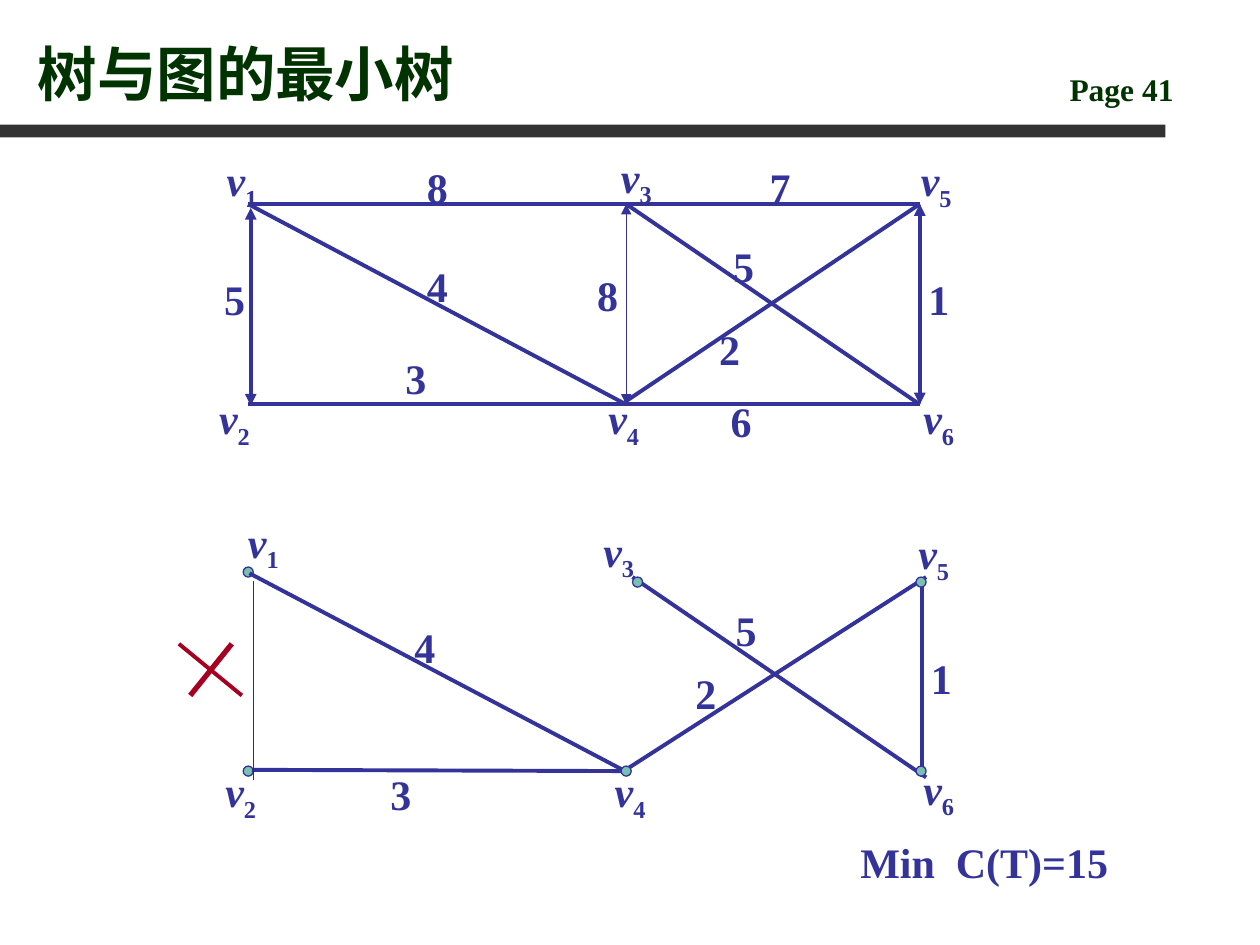
from lxml import etree
from pptx import Presentation
from pptx.dml.color import RGBColor
from pptx.enum.shapes import MSO_CONNECTOR, MSO_SHAPE
from pptx.enum.text import MSO_ANCHOR, MSO_AUTO_SIZE, PP_ALIGN
from pptx.oxml.ns import qn
from pptx.util import Inches, Pt

STRAIGHT = MSO_CONNECTOR.STRAIGHT
RECTANGLE, OVAL = MSO_SHAPE.RECTANGLE, MSO_SHAPE.OVAL
BOTTOM, LEFT = MSO_ANCHOR.BOTTOM, PP_ALIGN.LEFT
FIXED = MSO_AUTO_SIZE.NONE

COLORS = {
    "bar": "333333",
    "heading": "003300",
    "graph": "333399",
    "node": "78C0B2",
    "removed": "A50021",
}


class GraphPage:
    font_name = "Times New Roman"

    def __init__(self, deck):
        self.page = deck.slides.add_slide(deck.slide_layouts[5])

    def color(self, name):
        return RGBColor.from_string(COLORS[name])

    def span(self, para, text, size=24, color="graph", italic=False, baseline=0):
        span = para.add_run()
        span.text = text
        font = span.font
        font.name, font.size = self.font_name, Pt(size)
        font.bold, font.italic = True, italic
        font.color.rgb = self.color(color)
        if baseline:
            font._element.set("baseline", str(baseline * 1000))

    def title(self, text, left, top, width, height):
        box = self.page.shapes.title
        box.left, box.top = Inches(left), Inches(top)
        box.width, box.height = Inches(width), Inches(height)
        frame = box.text_frame
        frame.auto_size = FIXED
        frame.vertical_anchor = BOTTOM
        para = frame.paragraphs[0]
        para.alignment = LEFT
        self.span(para, text, 34, "heading")

    def text_box(self, left, top, width, height):
        box = self.page.shapes.add_textbox(
            Inches(left), Inches(top), Inches(width), Inches(height))
        frame = box.text_frame
        frame.word_wrap = True
        frame.auto_size = FIXED
        frame.margin_right = 0
        return frame.paragraphs[0]

    def caption(self, text, left, top, width, height, size=24, color="graph"):
        self.span(self.text_box(left, top, width, height), text, size, color)

    def weight(self, text, left, top):
        self.span(self.text_box(left, top, 0.36, 0.5), text)

    def vertex(self, number, left, top):
        para = self.text_box(left, top, 0.44, 0.56)
        self.span(para, "v", italic=True)
        self.span(para, str(number), baseline=-25)

    def shape(self, kind, left, top, width, height, fill, line=None):
        shape = self.page.shapes.add_shape(
            kind, Inches(left), Inches(top), Inches(width), Inches(height))
        shape.shadow.inherit = False
        shape.fill.solid()
        shape.fill.fore_color.rgb = self.color(fill)
        if line:
            shape.line.color.rgb = self.color(line)
            shape.line.width = Pt(0.75)
        else:
            shape.line.fill.background()

    def node(self, left, top):
        self.shape(OVAL, left, top, 0.08, 0.08, "node", "graph")

    def edge(self, start, end, width=2.25, color="graph", arrows=False):
        edge = self.page.shapes.add_connector(
            STRAIGHT, *(Inches(value) for value in (*start, *end)))
        edge.line.color.rgb = self.color(color)
        edge.line.width = Pt(width)
        properties = edge._element.spPr
        if arrows:
            outline = properties.find(qn("a:ln"))
            for tag in ("a:headEnd", "a:tailEnd"):
                etree.SubElement(outline, qn(tag), type="triangle")
        etree.SubElement(properties, qn("a:effectLst"))


def draw_full_graph(page):
    v1, v2 = (1.97, 1.62), (1.97, 3.21)
    v3, v4 = (4.97, 1.62), (4.97, 3.21)
    v5, v6 = (7.3, 1.62), (7.3, 3.21)
    for start, end in [(v1, v3), (v2, v4), (v1, v4), (v3, v5),
                       (v5, (4.96, 3.19)), (v3, v6), (v4, v6)]:
        page.edge(start, end)
    for start, end, width in [((1.99, 1.65), (1.99, 3.22), 2.25),
                              (v3, v4, 0.75), (v5, v6, 2.25)]:
        page.edge(start, end, width, arrows=True)
    vertices = [(1.7, 1.18), (1.64, 3.07), (4.83, 1.15),
                (4.73, 3.07), (7.21, 1.18), (7.23, 3.07)]
    for number, place in enumerate(vertices, 1):
        page.vertex(number, *place)
    for text, left, top in [("5", 1.68, 2.12), ("8", 3.29, 1.23), ("4", 3.29, 2.02),
                            ("3", 3.12, 2.75), ("7", 6.01, 1.23), ("5", 5.72, 1.86),
                            ("2", 5.61, 2.52), ("6", 5.7, 3.09), ("1", 7.27, 2.12),
                            ("8", 4.64, 2.09)]:
        page.weight(text, left, top)


def draw_minimum_tree(page):
    for left, top in [(1.93, 4.5), (1.93, 6.08)]:
        page.node(left, top)
    for start, end in [((2, 6.11), (4.95, 6.12)), ((1.98, 4.55), (4.98, 6.13)),
                       ((7.35, 4.58), (4.95, 6.12)), ((5.02, 4.58), (7.35, 6.17)),
                       ((7.32, 4.58), (7.32, 6.17))]:
        page.edge(start, end)
    for left, top in [(5.02, 4.58), (4.93, 6.08), (7.27, 4.58), (7.27, 6.08)]:
        page.node(left, top)
    vertices = [(1.87, 4.05), (1.69, 6.03), (4.69, 4.12),
                (4.78, 6.03), (7.19, 4.14), (7.23, 6.01)]
    for number, place in enumerate(vertices, 1):
        page.vertex(number, *place)
    for text, left, top in [("4", 3.19, 4.88), ("3", 3, 6.05), ("5", 5.74, 4.75),
                            ("2", 5.42, 5.25), ("1", 7.29, 5.13)]:
        page.weight(text, left, top)
    for start, end, width in [((2.01, 4.61), (2.01, 6.19), 0.75),
                              ((1.84, 5.11), (1.51, 5.52), 3),
                              ((1.42, 5.11), (1.92, 5.52), 2.25)]:
        page.edge(start, end, width, "removed")


def main():
    deck = Presentation()
    deck.slide_width, deck.slide_height = Inches(10), Inches(7.5)
    page = GraphPage(deck)
    page.shape(RECTANGLE, 0, 0.99, 9.25, 0.1, "bar")
    page.caption("Page 41", 8.39, 0.51, 1.42, 0.4, 18, "heading")
    page.title("树与图的最小树", 0.2, 0.13, 8.03, 0.78)
    draw_minimum_tree(page)
    draw_full_graph(page)
    page.caption("Min  C(T)=15", 6.73, 6.59, 2.5, 0.5)
    deck.save("out.pptx")


if __name__ == "__main__":
    main()
